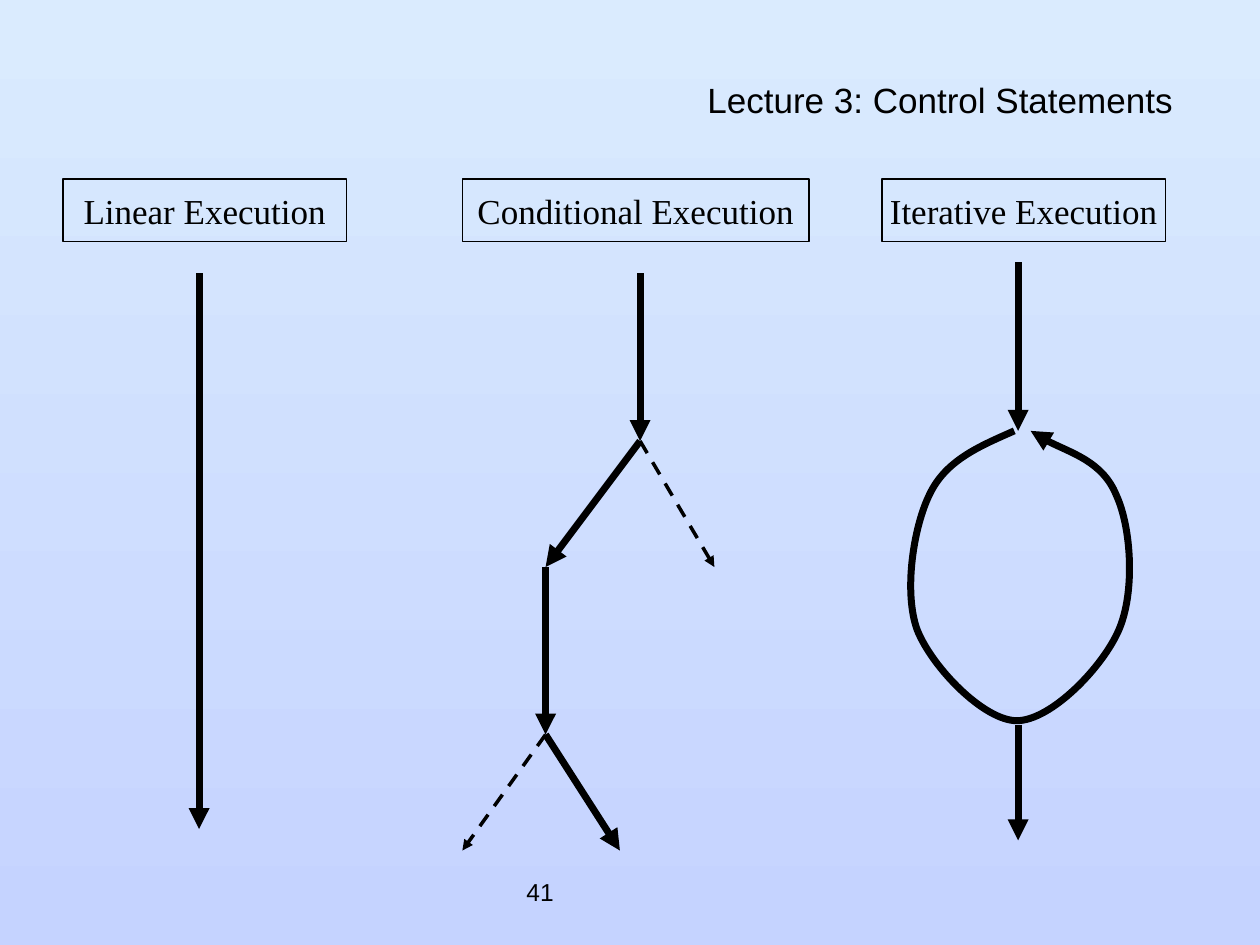
from typing import NamedTuple

from lxml.etree import SubElement
from pptx import Presentation
from pptx.dml.color import RGBColor
from pptx.enum.dml import MSO_LINE
from pptx.enum.shapes import MSO_CONNECTOR, MSO_SHAPE
from pptx.enum.text import MSO_ANCHOR, PP_ALIGN
from pptx.oxml.ns import qn
from pptx.util import Inches, Pt

COLORS = {"ink": "000000", "top": "DAEBFE", "base": "C5D3FF"}


class Box(NamedTuple):
    left: float
    width: float
    text: str


class Arrow(NamedTuple):
    start: tuple[float, float]
    end: tuple[float, float]
    dashed: bool = False


BOXES = [
    Box(0.5, 2.25, "Linear Execution"),
    Box(3.67, 2.75, "Conditional Execution"),
    Box(7, 2.25, "Iterative Execution"),
]

FORK, JOIN = (5.08, 3.5), (4.33, 5.83)
ARROWS = [
    Arrow((1.58, 2.17), (1.58, 6.58)),
    Arrow((5.08, 2.17), FORK),
    Arrow(FORK, (4.33, 4.5)),
    Arrow(FORK, (5.67, 4.5), True),
    Arrow((4.33, 4.5), JOIN),
    Arrow(JOIN, (4.92, 6.75)),
    Arrow(JOIN, (3.67, 6.75), True),
    Arrow((8.08, 2.08), (8.08, 3.42)),
    Arrow((8.08, 5.75), (8.08, 6.67)),
]

LOOP = [
    (8.05, 3.42),
    (7.78, 3.54), (7.51, 3.65), (7.38, 3.92),
    (7.25, 4.18), (7.17, 4.7), (7.28, 5),
    (7.4, 5.3), (7.81, 5.72), (8.07, 5.72),
    (8.34, 5.72), (8.75, 5.3), (8.88, 5),
    (9.01, 4.7), (8.98, 4.19), (8.86, 3.93),
    (8.75, 3.66), (8.32, 3.53), (8.18, 3.42),
]


def color(name: str) -> RGBColor:
    """Return a named colour."""
    return RGBColor.from_string(COLORS[name])


def write(shape, text: str, face: str, size: float, align, wrap: bool = False):
    """Put one styled line of text in a shape and return its paragraph."""
    frame = shape.text_frame
    frame.word_wrap = wrap
    frame.vertical_anchor = MSO_ANCHOR.MIDDLE
    para = frame.paragraphs[0]
    para.text = text
    para.alignment = align
    para.font.name = face
    para.font.size = Pt(size)
    para.font.color.rgb = color("ink")
    return para


def stroke(shape, width: float, dashed: bool = False) -> None:
    """Give a path its line and a triangle at its end."""
    shape.line.color.rgb = color("ink")
    shape.line.width = Pt(width)
    if dashed:
        shape.line.dash_style = MSO_LINE.DASH
    line = shape.element.spPr.find(qn("a:ln"))
    SubElement(line, qn("a:tailEnd"), type="triangle")


def draw_box(slide, box: Box) -> None:
    """Draw one heading box."""
    shape = slide.shapes.add_shape(
        MSO_SHAPE.RECTANGLE, Inches(box.left), Inches(1.42), Inches(box.width), Inches(0.5)
    )
    shape.shadow.inherit = False
    shape.fill.background()
    shape.line.color.rgb = color("ink")
    shape.line.width = Pt(0.75)
    write(shape, box.text, "Times New Roman", 20, PP_ALIGN.CENTER)


def draw_arrow(slide, arrow: Arrow) -> None:
    """Draw one straight arrow."""
    ends = [Inches(value) for value in arrow.start + arrow.end]
    line = slide.shapes.add_connector(MSO_CONNECTOR.STRAIGHT, *ends)
    stroke(line, 2 if arrow.dashed else 4, arrow.dashed)
    SubElement(line.element.spPr, qn("a:effectLst"))


def draw_loop(slide, points: list[tuple[float, float]]) -> None:
    """Draw a curved arrow from a start and triples of Bezier points."""
    first, *rest = [(Inches(x), Inches(y)) for x, y in points]
    pen = slide.shapes.build_freeform(*first)
    pen.add_line_segments(rest, close=False)
    shape = pen.convert_to_shape()
    shape.shadow.inherit = False
    shape.fill.background()
    stroke(shape, 4)
    steps = list(shape.element.iter(qn("a:lnTo")))
    track = steps[0].getparent()
    for index, step in enumerate(steps):
        if index % 3 == 0:
            curve = SubElement(track, qn("a:cubicBezTo"))
        curve.append(step[0])
        track.remove(step)


def main() -> None:
    """Build the slide and save it."""
    deck = Presentation()
    deck.slide_width, deck.slide_height = Inches(10), Inches(7.5)
    slide = deck.slides.add_slide(deck.slide_layouts[6])
    fill = slide.background.fill
    fill.gradient()
    fill.gradient_angle = 270
    for stop, name in zip(fill.gradient_stops, ("top", "base")):
        stop.color.rgb = color(name)

    page = slide.shapes.add_textbox(Inches(4.08), Inches(6.83), Inches(2.08), Inches(0.5))
    write(page, "41", "Arial", 14, PP_ALIGN.LEFT)
    title = slide.shapes.add_textbox(Inches(0.58), Inches(0.67), Inches(8.83), Inches(0.33))
    para = write(title, "Lecture 3: Control Statements", "Arial", 20, PP_ALIGN.RIGHT, True)
    para.line_spacing = 0.7

    for arrow in ARROWS:
        draw_arrow(slide, arrow)
    draw_loop(slide, LOOP)
    for box in BOXES:
        draw_box(slide, box)
    deck.save("out.pptx")


if __name__ == "__main__":
    main()
